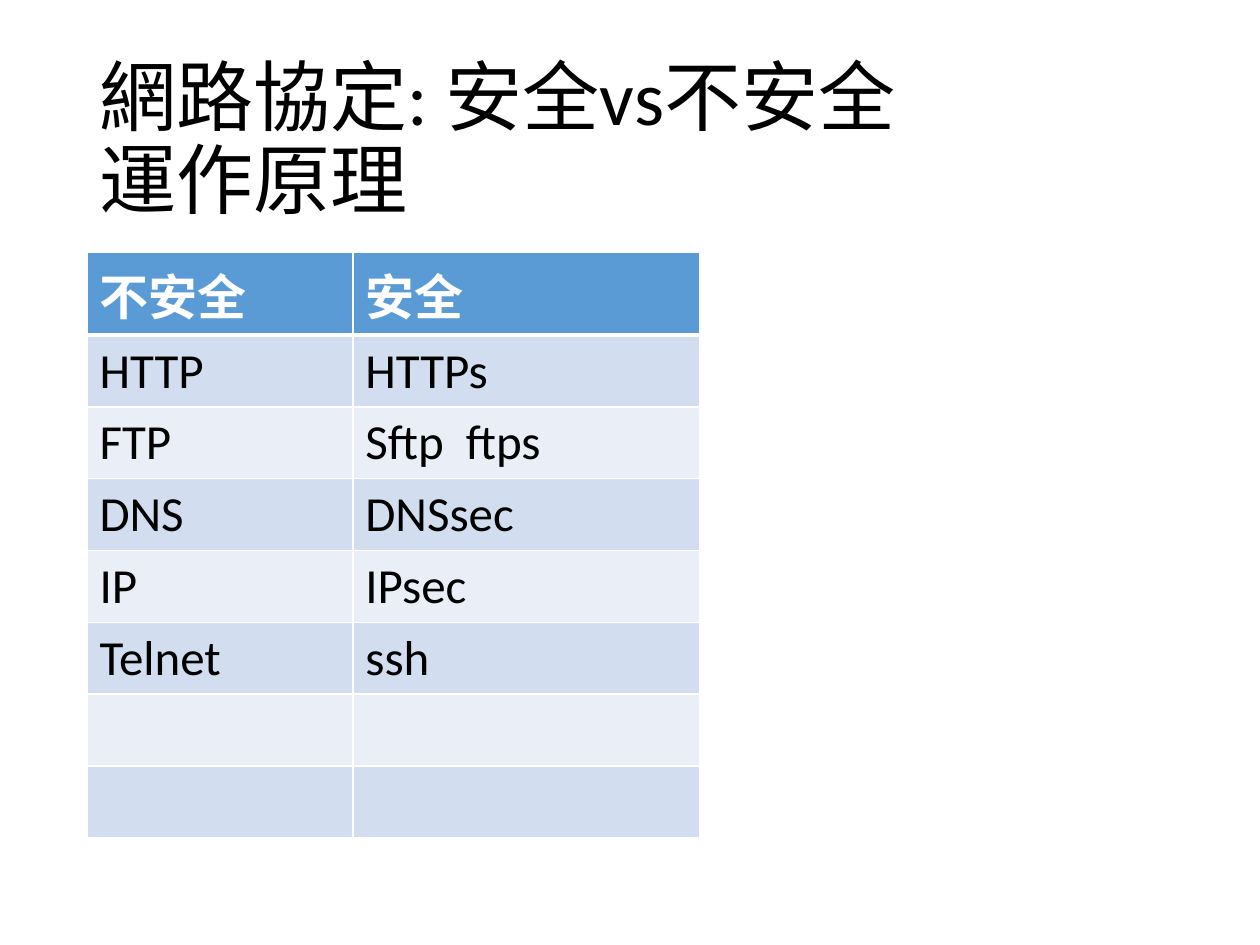
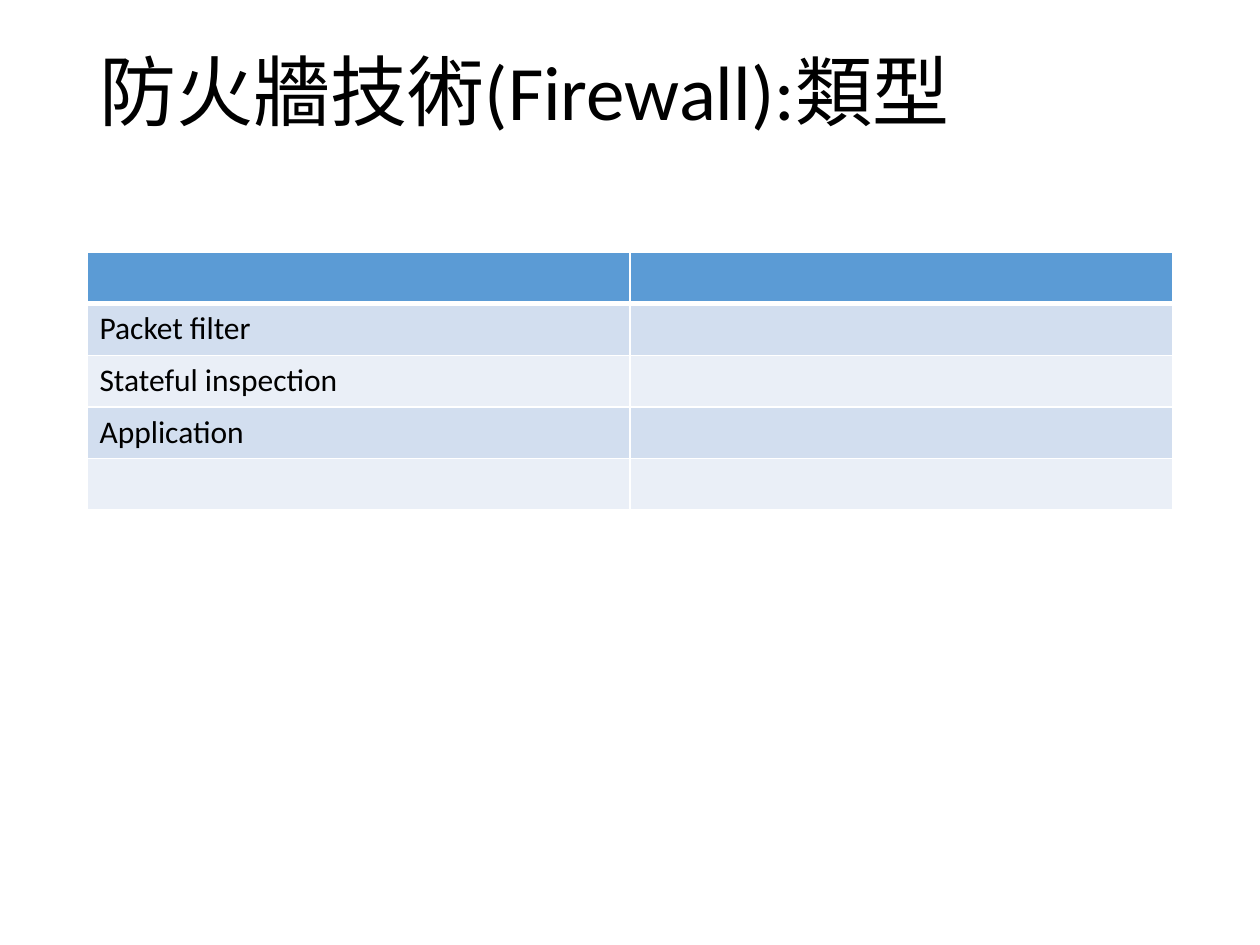
from dataclasses import dataclass

from lxml.etree import SubElement
from pptx import Presentation
from pptx.dml.color import RGBColor as Rgb
from pptx.enum.text import MSO_ANCHOR as Anchor
from pptx.oxml.ns import qn
from pptx.util import Inches, Pt


@dataclass(frozen=True)
class Theme:
    """Colours, font and sizes shared by the slides."""
    font: str = "Calibri"
    ink: str = "000000"
    paper: str = "FFFFFF"
    head: str = "5B9BD5"
    bands: tuple = ("D2DEEF", "EAEFF7")
    title: int = 44
    large: int = 28
    small: int = 18
    thin: int = 1
    thick: int = 3


THEME = Theme()
LEFT, WIDTH = 0.69, 8.62
TITLE_BOX = (LEFT, 0.4, WIDTH, 1.45)
TABLE_TOP = 2


def style(para, size, color, bold=False):
    """Set the font of a whole paragraph."""
    font = para.font
    font.name, font.size, font.bold = THEME.font, Pt(size), bold
    font.color.rgb = Rgb.from_string(color)


def add_title(slide, box, text, anchor):
    """Place the slide title in the box."""
    frame = slide.shapes.add_textbox(*map(Inches, box)).text_frame
    frame.word_wrap = True
    frame.vertical_anchor = anchor
    frame.margin_top = frame.margin_bottom = Inches(0.03)
    para = frame.paragraphs[0]
    para.text = text
    para.line_spacing = 0.9
    style(para, THEME.title, THEME.ink)


def add_rules(cell, row):
    """Draw white cell borders, thick below the header row."""
    props = cell._tc.get_or_add_tcPr()
    widths = {
        "L": THEME.thin,
        "R": THEME.thin,
        "T": THEME.thick if row == 1 else THEME.thin,
        "B": THEME.thick if row == 0 else THEME.thin,
    }
    for side, width in widths.items():
        line = SubElement(props, qn(f"a:ln{side}"), w=str(Pt(width)))
        fill = SubElement(line, qn("a:solidFill"))
        SubElement(fill, qn("a:srgbClr"), val=THEME.paper)


def add_grid(slide, spot, widths, heights, rows, size):
    """Place a banded table at the spot; heights are header and body."""
    top, body = heights
    box = (*spot, sum(widths), top + body * (len(rows) - 1))
    table = slide.shapes.add_table(
        len(rows), len(widths), *map(Inches, box)).table
    for col, width in zip(table.columns, widths):
        col.width = Inches(width)
    for r, texts in enumerate(rows):
        head = r == 0
        table.rows[r].height = Inches(top if head else body)
        fill = THEME.head if head else THEME.bands[(r - 1) % 2]
        for c, text in enumerate(texts):
            cell = table.cell(r, c)
            add_rules(cell, r)
            cell.fill.solid()
            cell.fill.fore_color.rgb = Rgb.from_string(fill)
            if text:
                cell.text = text
                style(cell.text_frame.paragraphs[0], size,
                      THEME.paper if head else THEME.ink, head)


def add_slide(deck, title, anchor, widths, heights, rows, size):
    """Add a slide with a title above a table."""
    slide = deck.slides.add_slide(deck.slide_layouts[6])
    add_title(slide, TITLE_BOX, title, anchor)
    add_grid(slide, (LEFT, TABLE_TOP), widths, heights, rows, size)


PROTOCOLS = [
    ("不安全", "安全"),
    ("HTTP", "HTTPs"),
    ("FTP", "Sftp  ftps"),
    ("DNS", "DNSsec"),
    ("IP", "IPsec"),
    ("Telnet", "ssh"),
    ("", ""),
    ("", ""),
]
FIREWALLS = [
    ("", ""),
    ("Packet filter", ""),
    ("Stateful inspection", ""),
    ("Application", ""),
    ("", ""),
]

deck = Presentation()
deck.slide_width, deck.slide_height = Inches(10), Inches(7.5)
add_slide(deck, "網路協定: 安全vs不安全\v運作原理", Anchor.MIDDLE,
          (2.11, 2.75), (0.66, 0.57), PROTOCOLS, THEME.large)
add_slide(deck, "防火牆技術(Firewall):類型", Anchor.TOP,
          (WIDTH / 2, WIDTH / 2), (0.41, 0.41), FIREWALLS, THEME.small)
deck.save("out.pptx")
